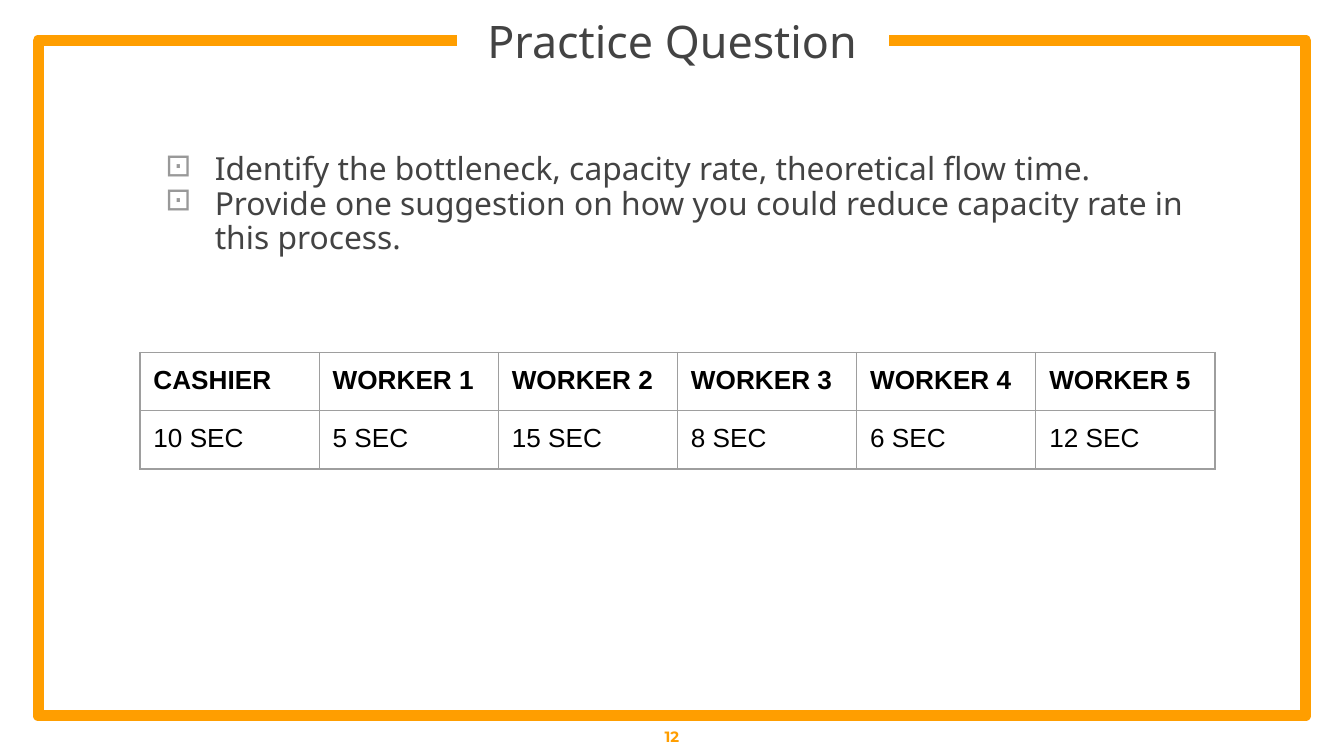
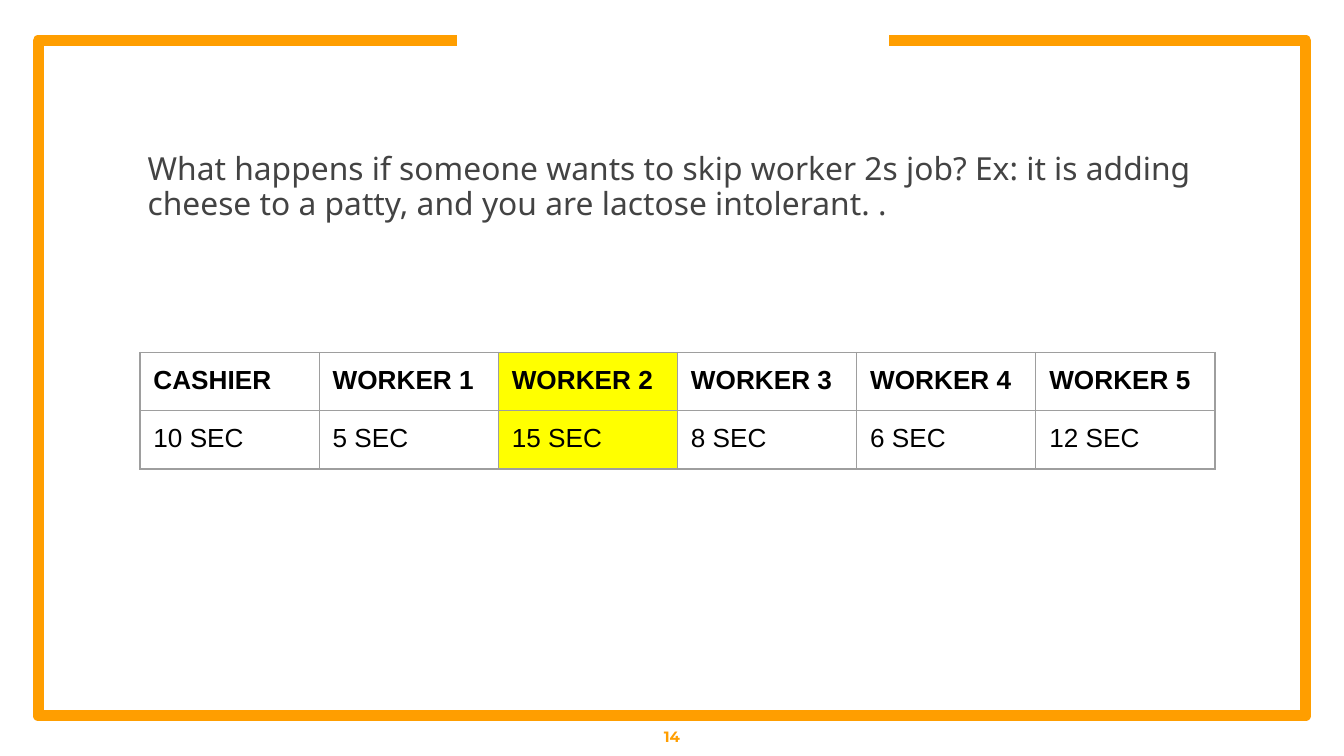
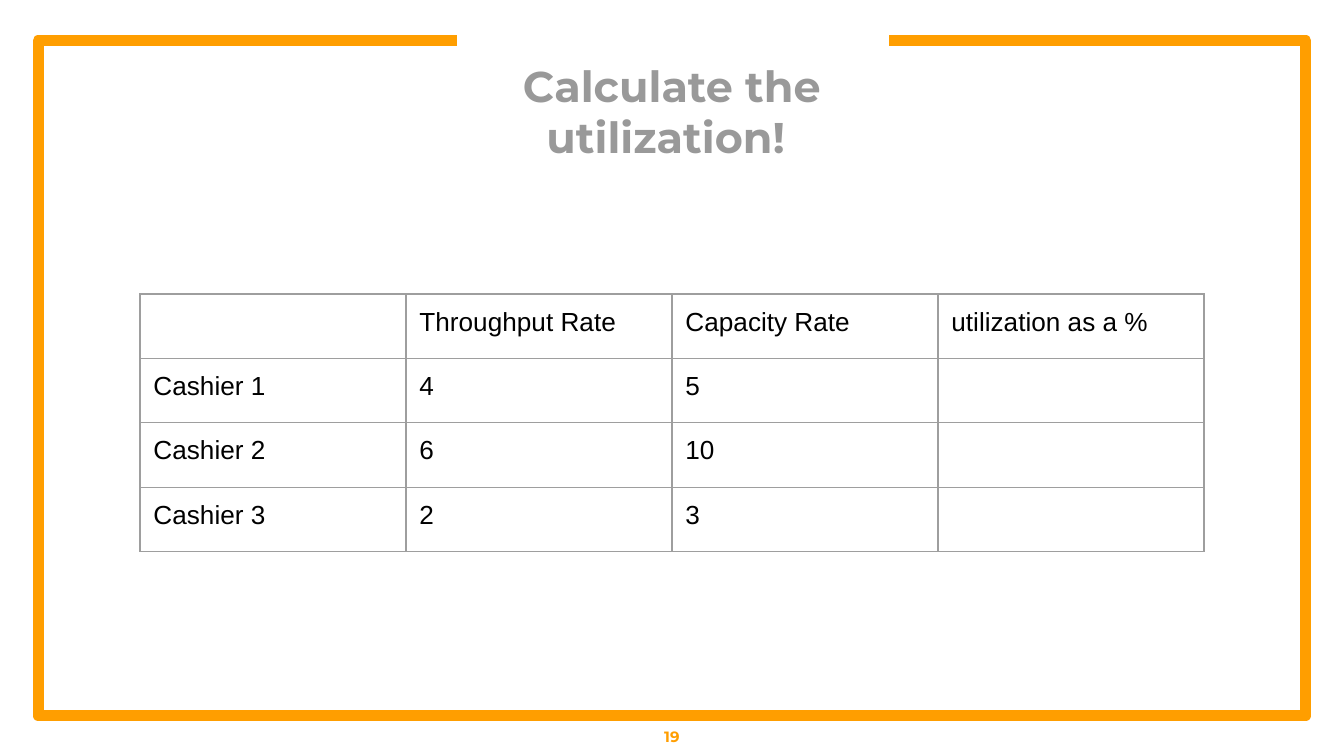
"""Build three operations practice slides with a shared orange frame."""
import dataclasses

import lxml.etree
import pptx
import pptx.dml.color
import pptx.enum.text
import pptx.oxml.ns
import pptx.util

Pt = pptx.util.Pt
Color = pptx.dml.color.RGBColor.from_string
CENTER = pptx.enum.text.PP_ALIGN.CENTER
LEFT = pptx.enum.text.PP_ALIGN.LEFT
MIDDLE = pptx.enum.text.MSO_ANCHOR.MIDDLE
TOP = pptx.enum.text.MSO_ANCHOR.TOP


@dataclasses.dataclass(frozen=True)
class Theme:
    accent: str = "FF9E00"
    gray: str = "999999"
    border: str = "9E9E9E"
    highlight: str = "FFFF00"
    frame_width: float = 6
    border_width: float = 0.75
    inset: float = 7.2
    title = {"name": "Noto Sans", "size": Pt(24), "bold": False, "color": "434343"}
    callout = {"name": "Montserrat", "size": Pt(23), "bold": True, "color": "999999"}
    body = {"name": "Noto Sans", "size": Pt(17), "bold": False, "color": "434343"}
    footer = {"name": "Montserrat", "size": Pt(8), "bold": True, "color": "FF9E00"}
    cell = {"name": "Arial", "size": Pt(14), "bold": False, "color": "000000"}
    header_cell = {**cell, "bold": True}


THEME = Theme()
WORKER_TIMES = [
    ["CASHIER", "WORKER 1", "WORKER 2", "WORKER 3", "WORKER 4", "WORKER 5"],
    ["10 SEC", "5 SEC", "15 SEC", "8 SEC", "6 SEC", "12 SEC"],
]
UTILIZATION = [
    ["", "Throughput Rate", "Capacity Rate", "utilization as a %"],
    ["Cashier 1", "4", "5", ""],
    ["Cashier 2", "6", "10", ""],
    ["Cashier 3", "2", "3", ""],
]


def add_child(parent, tag, **attributes):
    return lxml.etree.SubElement(parent, pptx.oxml.ns.qn(tag), attributes)


def set_values(target, values):
    for name, value in values.items():
        setattr(target, name, value)


def set_margins(target, inset):
    sides = ("margin_left", "margin_top", "margin_right", "margin_bottom")
    set_values(target, dict.fromkeys(sides, Pt(inset)))


def add_run(paragraph, text, style):
    run = paragraph.add_run()
    run.text = text
    set_values(run.font, {key: style[key] for key in ("name", "size", "bold")})
    run.font.color.rgb = Color(style["color"])


def add_bullet(paragraph):
    properties = paragraph._p.get_or_add_pPr()
    properties.set("marL", str(Pt(36)))
    properties.set("indent", str(-Pt(26.6)))
    add_child(add_child(properties, "a:buClr"), "a:srgbClr", val=THEME.gray)
    add_child(properties, "a:buChar", char="⊡")


def add_text(slide, box, lines, style, inset=0, anchor=MIDDLE, align=CENTER,
             line_spacing=1.0, bulleted=False):
    frame = slide.shapes.add_textbox(*map(Pt, box)).text_frame
    set_margins(frame, inset)
    set_values(frame, {"word_wrap": True, "vertical_anchor": anchor})
    for index, line in enumerate(lines):
        paragraph = frame.add_paragraph() if index else frame.paragraphs[0]
        set_values(paragraph, {"alignment": align, "line_spacing": line_spacing})
        if bulleted:
            add_bullet(paragraph)
        add_run(paragraph, line, style)


def add_title(slide, text, top, style):
    add_text(slide, (255.4, top, 209.3, 28), [text], style)


def add_body(slide, lines, bulleted=False):
    add_text(slide, (72, 75, 576, 255.6), lines, THEME.body, THEME.inset,
             TOP, LEFT, 0.9, bulleted)


def add_frame(slide):
    left, top, right, bottom = 20.5, 21.7, 699.5, 383.5
    builder = slide.shapes.build_freeform(Pt(244.8), Pt(top), scale=1.0)
    corners = [(left, top), (left, bottom), (right, bottom), (right, top), (476.2, top)]
    builder.add_line_segments([(Pt(x), Pt(y)) for x, y in corners], close=False)
    shape = builder.convert_to_shape()
    shape.shadow.inherit = False
    shape.fill.background()
    shape.line.color.rgb = Color(THEME.accent)
    shape.line.width = Pt(THEME.frame_width)


def add_borders(cell):
    properties = cell._tc.get_or_add_tcPr()
    for tag in ("a:lnL", "a:lnR", "a:lnT", "a:lnB"):
        line = add_child(properties, tag, w=str(Pt(THEME.border_width)))
        add_child(add_child(line, "a:solidFill"), "a:srgbClr", val=THEME.border)


def add_table(slide, rows, top, column_width, row_height, header_style,
              highlighted_column=None):
    column_count = len(rows[0])
    table = slide.shapes.add_table(
        len(rows), column_count, Pt(75), Pt(top),
        Pt(column_width * column_count), Pt(row_height * len(rows))).table
    set_values(table, {"first_row": False, "horz_banding": False})
    for row_index, row in enumerate(rows):
        style = THEME.cell if row_index else header_style
        for column_index, text in enumerate(row):
            cell = table.cell(row_index, column_index)
            add_borders(cell)
            if column_index == highlighted_column:
                cell.fill.solid()
                cell.fill.fore_color.rgb = Color(THEME.highlight)
            else:
                cell.fill.background()
            if text:
                set_margins(cell, THEME.inset)
                add_run(cell.text_frame.paragraphs[0], text, style)


def add_worker_table(slide, highlighted_column=None):
    add_table(slide, WORKER_TIMES, 188.8, 96, 30.2, THEME.header_cell, highlighted_column)


def add_slide(presentation, number):
    slide = presentation.slides.add_slide(presentation.slide_layouts[6])
    add_frame(slide)
    add_text(slide, (0, 383.7, 720, 21.3), [number], THEME.footer, THEME.inset)
    return slide


def main():
    presentation = pptx.Presentation()
    set_values(presentation, {"slide_width": Pt(720), "slide_height": Pt(405)})

    slide = add_slide(presentation, "12")
    add_title(slide, "Practice Question", 8, THEME.title)
    add_body(slide, [
        "Identify the bottleneck, capacity rate, theoretical flow time.",
        "Provide one suggestion on how you could reduce capacity rate in this process.",
    ], bulleted=True)
    add_worker_table(slide)

    slide = add_slide(presentation, "14")
    add_body(slide, [
        "What happens if someone wants to skip worker 2s job? Ex: it is adding "
        "cheese to a patty, and you are lactose intolerant. .",
    ])
    add_worker_table(slide, highlighted_column=2)

    slide = add_slide(presentation, "19")
    add_title(slide, "Calculate the utilization! ", 45.4, THEME.callout)
    add_table(slide, UTILIZATION, 157.5, 142.5, 34.5, THEME.cell)

    presentation.save("out.pptx")


if __name__ == "__main__":
    main()
